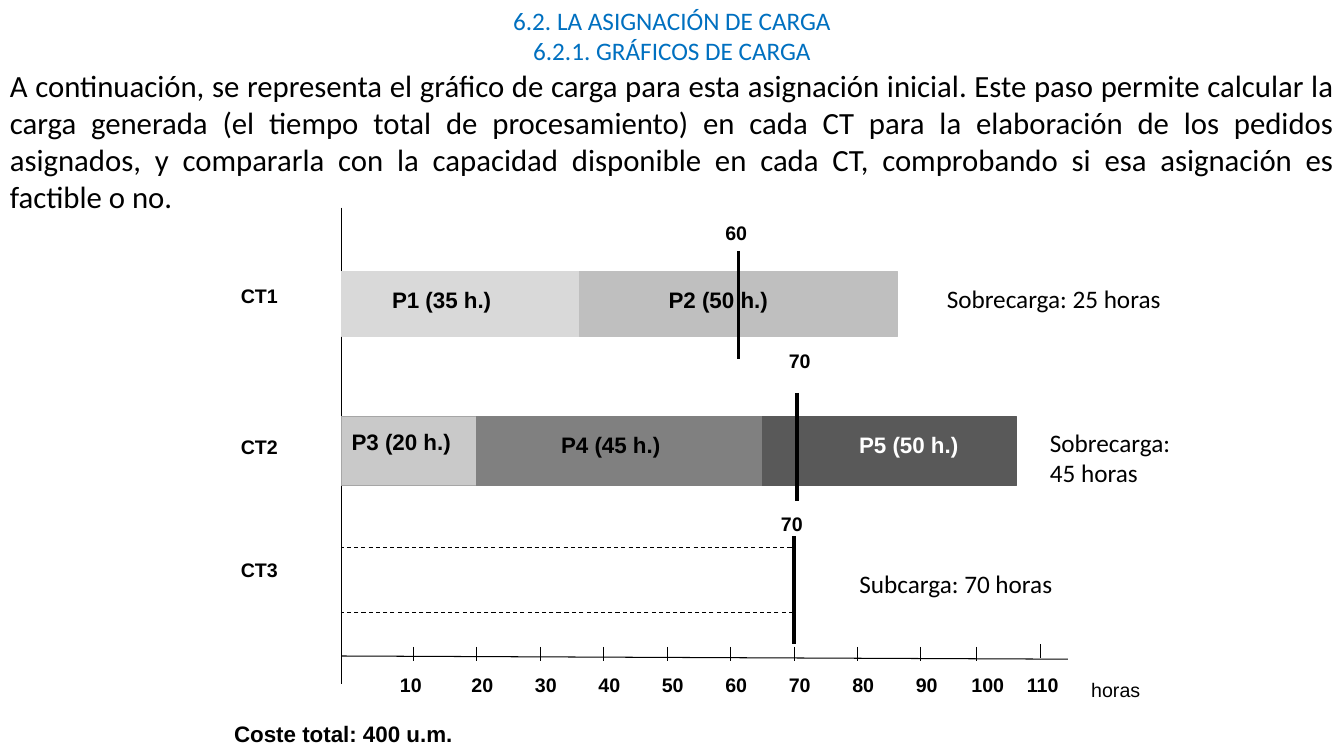
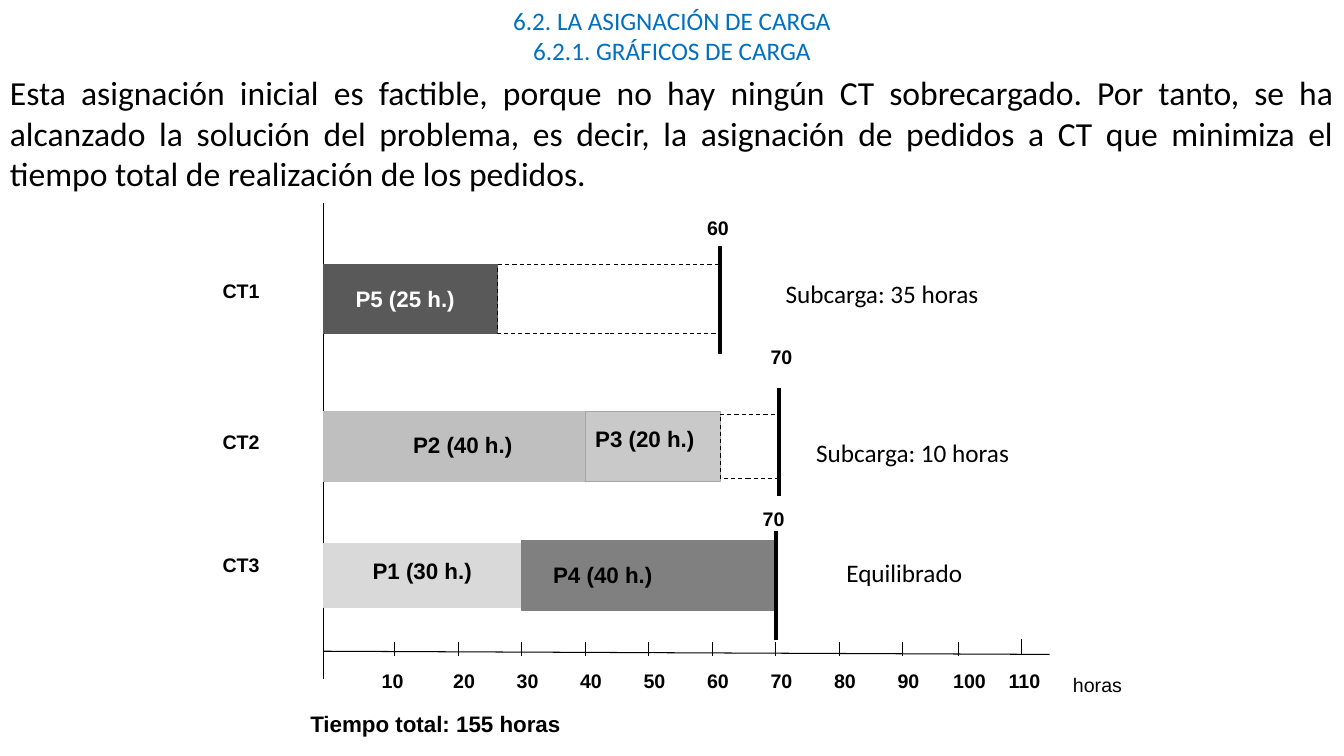
from lxml import etree
from pptx import Presentation
from pptx.dml.color import RGBColor
from pptx.enum.dml import MSO_LINE
from pptx.enum.shapes import MSO_CONNECTOR, MSO_SHAPE
from pptx.enum.text import MSO_ANCHOR, PP_ALIGN
from pptx.oxml.ns import qn
from pptx.util import Cm, Pt

RECT = MSO_SHAPE.RECTANGLE
STRAIGHT = MSO_CONNECTOR.STRAIGHT
DASH = MSO_LINE.DASH
TOP, MIDDLE = MSO_ANCHOR.TOP, MSO_ANCHOR.MIDDLE
LEFT, CENTER, JUSTIFY = PP_ALIGN.LEFT, PP_ALIGN.CENTER, PP_ALIGN.JUSTIFY

BLACK = RGBColor(0x00, 0x00, 0x00)
WHITE = RGBColor(0xFF, 0xFF, 0xFF)
BLUE = RGBColor(0x00, 0x70, 0xC0)
ORDER_FILL = {
    "P1": RGBColor(0xD9, 0xD9, 0xD9),
    "P2": RGBColor(0xBF, 0xBF, 0xBF),
    "P3": RGBColor(0xA6, 0xA6, 0xA6),
    "P4": RGBColor(0x80, 0x80, 0x80),
    "P5": RGBColor(0x59, 0x59, 0x59),
}
ORDER_ALPHA = {"P3": 60}
ORDER_FONT = {"P5": WHITE}

SLIDE_W, SLIDE_H = 33.87, 19.05
THIN, THICK = 1.63, 1.75
TITLE = ["6.2. LA ASIGNACIÓN DE CARGA", "6.2.1. GRÁFICOS DE CARGA"]

# name, name top, bar centre, capacity, mark x, mark top, label x, label top
CENTRES = [
    ("CT1", 1.8, 2.43, "60", 10.0, 1.09, 9.42, 0.2),
    ("CT2", 5.61, 6.14, "70", 11.48, 4.67, 11.02, 3.45),
    ("CT3", 8.71, 9.39, "70", 11.4, 8.28, 10.82, 7.54),
]

# bars: order, hours, width, height, text inset left, text inset top
SLIDES = [
    {
        "body": "A continuación, se representa el gráfico de carga para esta asignación "
                "inicial. Este paso permite calcular la carga generada (el tiempo total de "
                "procesamiento) en cada CT para la elaboración de los pedidos asignados, y "
                "compararla con la capacidad disponible en cada CT, comprobando si esa "
                "asignación es factible o no.",
        "body_box": (0, 1.55, SLIDE_W, 3.9),
        "body_size": 22,
        "origin": (8.61, 5.23),
        "bars": [
            [("P1", 35, 6.0, THIN, 1.27, 0.36), ("P2", 50, 8.0, THIN, 2.24, 0.36)],
            [("P3", 20, 3.4, THICK, 0.25, 0.3), ("P4", 45, 7.2, THICK, 2.13, 0.36),
             ("P5", 50, 6.4, THICK, 2.44, 0.36)],
            [],
        ],
        "slack_heights": [THIN, THIN, THIN],
        "status": [
            (["Sobrecarga: 25 horas"], 15.0, 1.78, 5.97),
            (["Sobrecarga:", "45 horas"], 17.6, 5.41, 3.73),
            (["Subcarga: 70 horas"], 12.8, 8.97, 5.44),
        ],
        "total": ("Coste total: 400 u.m.", -2.96, 12.78, 6.1),
    },
    {
        "body": "Esta asignación inicial es factible, porque no hay ningún CT sobrecargado. "
                "Por tanto, se ha alcanzado la solución del problema, es decir, la "
                "asignación de pedidos a CT que minimiza el tiempo total de realización de "
                "los pedidos.",
        "body_box": (0, 1.7, SLIDE_W, 4.4),
        "body_size": 24,
        "origin": (8.15, 5.11),
        "bars": [
            [("P5", 25, 4.4, THICK, 0.81, 0.53)],
            [("P2", 40, 6.6, THICK, 2.26, 0.48), ("P3", 20, 3.4, THICK, 0.25, 0.33)],
            [("P1", 30, 5.0, THIN, 1.24, 0.36), ("P4", 40, 6.4, THICK, 0.79, 0.51)],
        ],
        "slack_heights": [THICK, THIN, THIN],
        "status": [
            (["Subcarga: 35 horas"], 11.4, 1.78, 5.44),
            (["Subcarga: 10 horas"], 12.17, 5.79, 5.44),
            (["Equilibrado"], 12.93, 8.81, 3.45),
        ],
        "total": ("Tiempo total: 155 horas", -0.58, 12.65, 6.9),
    },
]


def write(tf, lines, size, font="Arial", color=BLACK, bold=False, align=LEFT):
    for i, line in enumerate(lines):
        p = tf.paragraphs[0] if i == 0 else tf.add_paragraph()
        p.alignment = align
        r = p.add_run()
        r.text = line
        r.font.name, r.font.size, r.font.bold = font, Pt(size), bold
        r.font.color.rgb = color


def add_text(s, lines, box, size, wrap=True, **style):
    tf = s.shapes.add_textbox(*map(Cm, box)).text_frame
    tf.word_wrap = wrap
    write(tf, lines, size, **style)


def add_line(s, x1, y1, x2, y2, width=0.75):
    line = s.shapes.add_connector(STRAIGHT, Cm(x1), Cm(y1), Cm(x2), Cm(y2))
    line.line.color.rgb = BLACK
    line.line.width = Pt(width)
    etree.SubElement(line._element.spPr, qn("a:effectLst"))


def add_bar(s, box, fill=None, alpha=None):
    bar = s.shapes.add_shape(RECT, *map(Cm, box))
    bar.shadow.inherit = False
    bar.line.width = Pt(0.75)
    if fill is None:
        bar.fill.background()
        bar.line.color.rgb = BLACK
        bar.line.dash_style = DASH
        return bar
    bar.fill.solid()
    bar.fill.fore_color.rgb = fill
    bar.line.color.rgb = fill
    if alpha:
        color = bar._element.spPr.find(qn("a:solidFill"))[0]
        etree.SubElement(color, qn("a:alpha"), val=str(alpha * 1000))
    return bar


def add_order(s, x, middle, order, hours, width, height, inset_left, inset_top):
    box = (x, middle - height / 2, width, height)
    bar = add_bar(s, box, ORDER_FILL[order], ORDER_ALPHA.get(order))
    tf = bar.text_frame
    tf.word_wrap = False
    tf.vertical_anchor = TOP
    tf.margin_left, tf.margin_top = Cm(inset_left), Cm(inset_top)
    tf.margin_right = tf.margin_bottom = 0
    write(tf, [f"{order} ({hours} h.)"], 16, color=ORDER_FONT.get(order, BLACK), bold=True)


def add_axes(s, ox, oy):
    add_line(s, ox, oy, ox, oy + 12)
    add_line(s, ox, oy + 11.3, ox + 18.3, oy + 11.38)
    for hours in range(10, 120, 10):
        x = ox + 0.16 * hours + (0.2 if hours < 100 else 0)
        y = oy + (11.0 if hours == 110 else 11.07)
        add_line(s, x, y, x, y + 0.36)
        label_x = x - (0.58 if hours in (10, 110) else 0.38)
        add_text(s, [str(hours)], (label_x, oy + 11.61, 1.4, 0.85), 14, bold=True)
    add_text(s, ["horas"], (ox + 18.64, oy + 11.73, 1.75, 0.86), 14, wrap=False)


def add_load_chart(s, data):
    ox, oy = data["origin"]
    add_axes(s, ox, oy)
    rows = zip(CENTRES, data["bars"], data["slack_heights"], data["status"])
    for centre, bars, slack_height, (status, status_x, status_y, status_w) in rows:
        name, name_y, middle, capacity, mark_x, mark_y, label_x, label_y = centre
        add_text(s, [name], (ox - 2.79, oy + name_y, 2.41, 0.86), 14, bold=True)
        load = 0
        for bar in bars:
            add_order(s, ox + load, oy + middle, *bar)
            load += bar[2]
        slack = mark_x - load
        if slack > 0.1:
            add_bar(s, (ox + load, oy + middle - slack_height / 2, slack, slack_height))
        add_line(s, ox + mark_x, oy + mark_y, ox + mark_x, oy + mark_y + 2.73, 2.5)
        add_text(s, [capacity], (ox + label_x, oy + label_y, 1.2, 0.85), 14, bold=True)
        box = (ox + status_x, oy + status_y, status_w, 0.25 + 0.77 * len(status))
        add_text(s, status, box, 18, wrap=False, font="Calibri")
    total, x, y, width = data["total"]
    add_text(s, [total], (ox + x, oy + y, width, 0.94), 16, wrap=False, bold=True)


def add_title(s):
    title = s.shapes.title
    title.left, title.top, title.width, title.height = map(Cm, (0, 0, SLIDE_W, 1.8))
    title.text_frame.vertical_anchor = MIDDLE
    write(title.text_frame, TITLE, 18, font="Calibri", color=BLUE, align=CENTER)


def main():
    prs = Presentation()
    prs.slide_width, prs.slide_height = Cm(SLIDE_W), Cm(SLIDE_H)
    for data in SLIDES:
        s = prs.slides.add_slide(prs.slide_layouts[5])
        add_title(s)
        add_text(s, [data["body"]], data["body_box"], data["body_size"],
                 font="Calibri", align=JUSTIFY)
        add_load_chart(s, data)
    prs.save("out.pptx")


if __name__ == "__main__":
    main()
